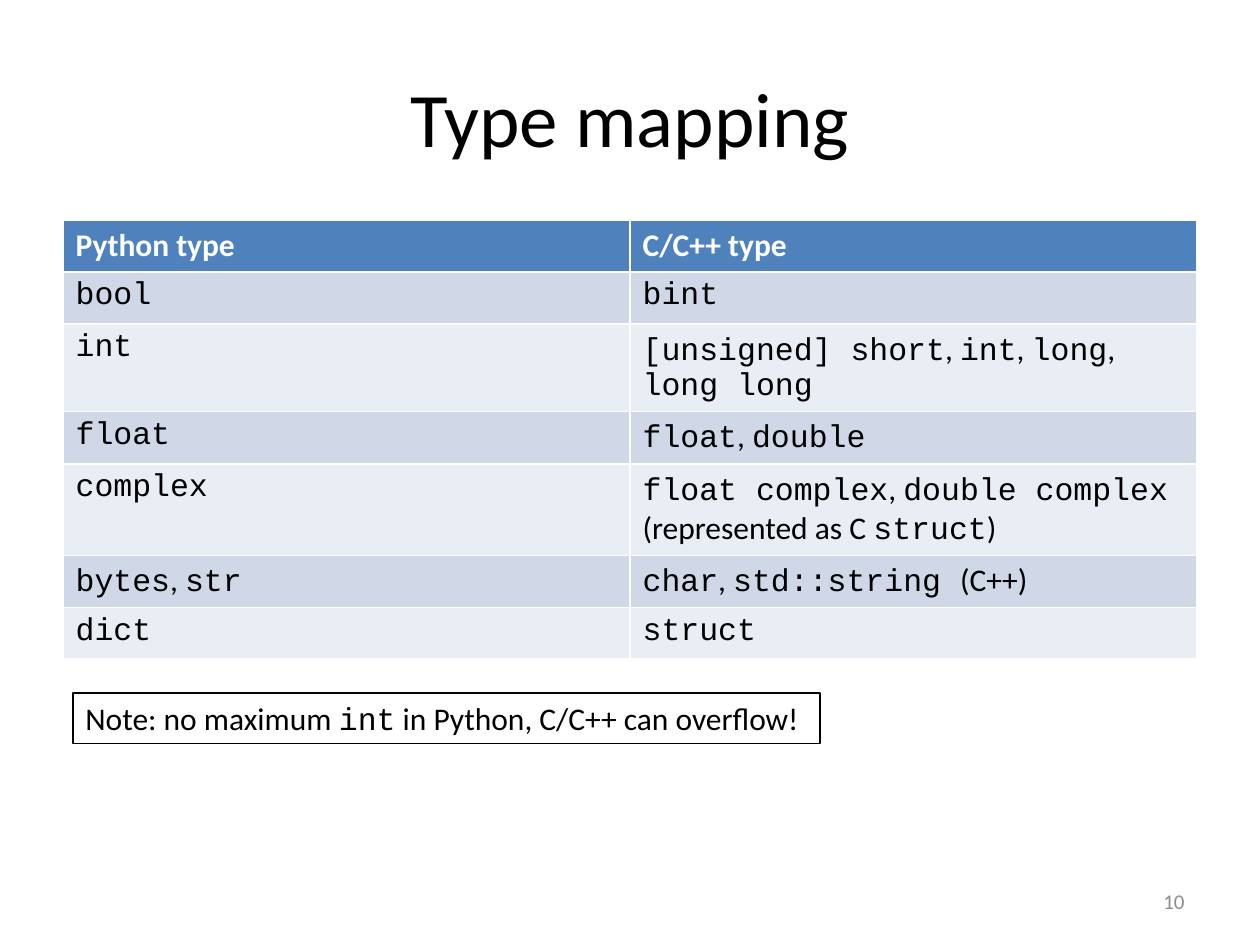
"""Build the slide that maps Python types to C/C++ types."""
from pptx import Presentation
from pptx.dml.color import RGBColor
from pptx.enum.text import MSO_ANCHOR, MSO_AUTO_SIZE, PP_ALIGN
from pptx.util import Inches, Pt


def color(code):
    return RGBColor.from_string(code)


def write(frame, text, size, code, bold=False):
    """Write text into a frame, with parts between backticks in Courier New."""
    para = frame.paragraphs[0]
    para.font.size = Pt(size)
    para.font.bold = bold
    para.font.color.rgb = color(code)
    for i, part in enumerate(text.split("`")):
        if part:
            run = para.add_run()
            run.text = part
            run.font.name = "Courier New" if i % 2 else "Calibri"
    return para


deck = Presentation()
deck.slide_width, deck.slide_height = Inches(10), Inches(7.5)
slide = deck.slides.add_slide(deck.slide_layouts[5])

title = slide.shapes.title
title.left, title.top = Inches(0.5), Inches(0.3)
title.width, title.height = Inches(9), Inches(1.25)
title.text_frame.vertical_anchor = MSO_ANCHOR.MIDDLE
write(title.text_frame, "Type mapping", 44, "000000").alignment = PP_ALIGN.CENTER

rows = [
    ("Python type", "C/C++ type"),
    ("`bool`", "`bint`"),
    ("`int`", "`[unsigned] short`, `int`, `long`,` long long`"),
    ("`float`", "`float`, `double`"),
    ("`complex`", "`float complex`, `double complex` (represented as C `struct`)"),
    ("`bytes`, `str`", "`char`, `std::string `(C++)"),
    ("`dict`", "`struct`"),
]
table = slide.shapes.add_table(
    len(rows), 2, Inches(0.5), Inches(1.75), Inches(9), Inches(0.41 * len(rows))
).table
for r, row in enumerate(rows):
    head = r == 0
    fill = "4F81BD" if head else "D0D8E8" if r % 2 else "E9EDF4"
    for c, text in enumerate(row):
        cell = table.cell(r, c)
        cell.fill.solid()
        cell.fill.fore_color.rgb = color(fill)
        write(cell.text_frame, text, 18, "FFFFFF" if head else "000000", head)

page = slide.shapes.add_textbox(Inches(7.17), Inches(6.95), Inches(2.33), Inches(0.4))
page.text_frame.word_wrap = True
page.text_frame.vertical_anchor = MSO_ANCHOR.MIDDLE
write(page.text_frame, "10", 12, "8C8C8C").alignment = PP_ALIGN.RIGHT

note = slide.shapes.add_textbox(Inches(0.58), Inches(5.5), Inches(5.93), Inches(0.4))
note.line.color.rgb = color("000000")
note.line.width = Pt(0.75)
note.text_frame.word_wrap = False
note.text_frame.auto_size = MSO_AUTO_SIZE.SHAPE_TO_FIT_TEXT
write(note.text_frame, "Note: no maximum `int` in Python, C/C++ can overflow!", 18, "000000")

deck.save("out.pptx")
